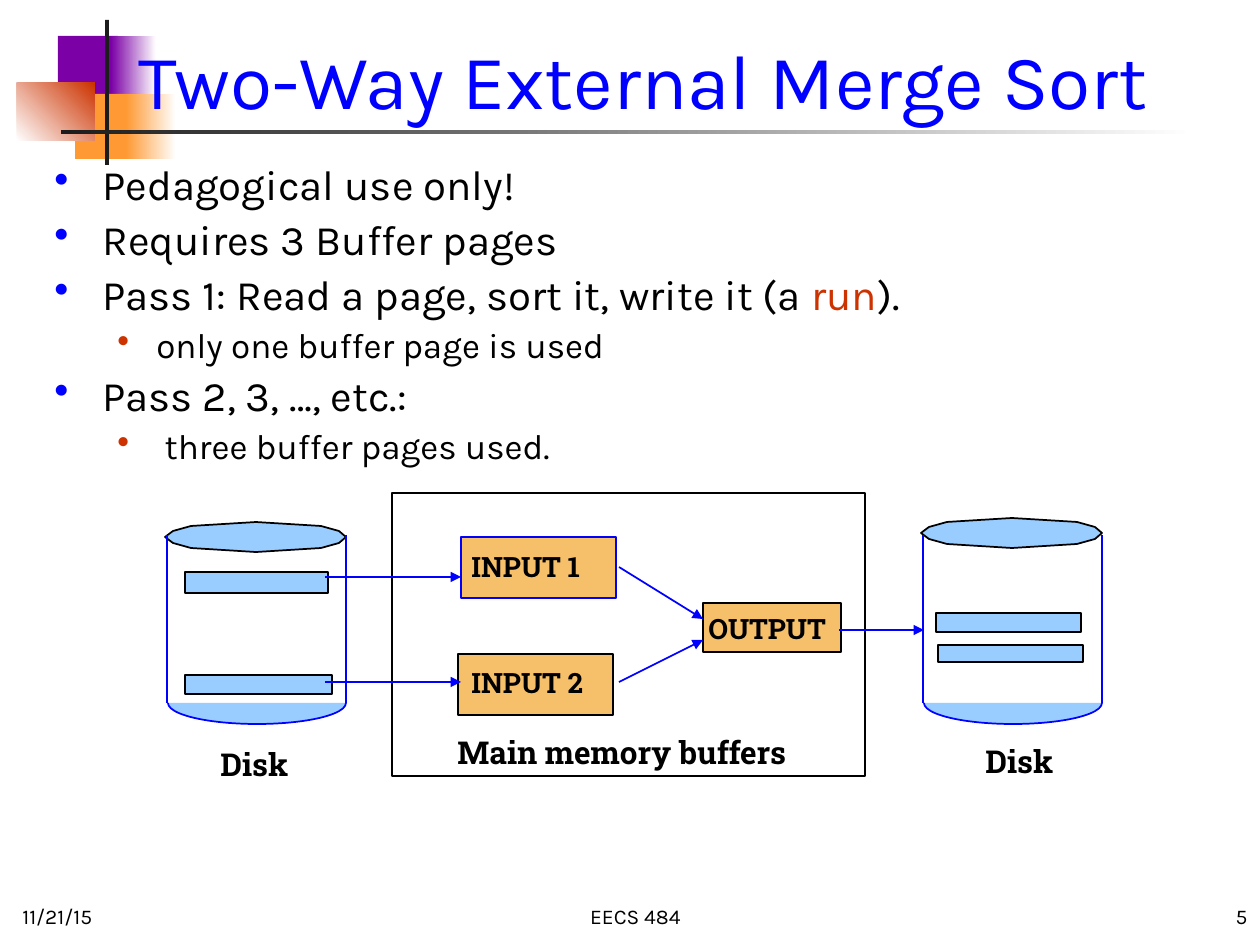
from lxml.etree import SubElement
from pptx import Presentation
from pptx.dml.color import RGBColor
from pptx.enum.shapes import MSO_CONNECTOR, MSO_SHAPE
from pptx.enum.text import MSO_ANCHOR, PP_ALIGN
from pptx.oxml.ns import qn
from pptx.util import Emu, Pt

EMU_PER_PX = 914400 / 126
COLORS = {
    "white": "FFFFFF", "black": "000000", "charcoal": "1C1C1C",
    "blue": "0000FF", "sky": "99CCFF", "red": "CC3300",
    "purple": "7B00A6", "orange": "FF9933", "sand": "F6BF69",
}
BULLETS = [
    (0, [("Pedagogical use only!", "black")]),
    (0, [("Requires 3 Buffer pages", "black")]),
    (0, [("Pass 1: Read a page, sort it, write it (a ", "black"),
         ("run", "red"), (").", "black")]),
    (1, [("only one buffer page is used", "black")]),
    (0, [("Pass 2, 3, …, etc.:", "black")]),
    (1, [(" three buffer pages used.", "black")]),
]
LEVELS = [
    {"size": 24, "left": 48, "hang": 48, "gap": 5.6, "bullet": "blue"},
    {"size": 20, "left": 102, "hang": 39, "gap": 4.7, "bullet": "red"},
]


def px(length):
    return Emu(round(length * EMU_PER_PX))


def rgb(name):
    return RGBColor.from_string(COLORS[name])


def paint(shape, fill=None, line=None):
    shape.shadow.inherit = False
    if fill:
        shape.fill.solid()
        shape.fill.fore_color.rgb = rgb(fill)
    else:
        shape.fill.background()
    if line:
        shape.line.color.rgb = rgb(line)
        shape.line.width = Pt(1)
    else:
        shape.line.fill.background()


def add_block(page, bounds, fill=None, line=None, kind=MSO_SHAPE.RECTANGLE):
    block = page.shapes.add_shape(kind, *map(px, bounds))
    paint(block, fill, line)
    return block


def add_gradient(page, bounds, start, end, angle=0):
    block = add_block(page, bounds)
    block.fill.gradient()
    block.fill.gradient_angle = angle
    for stop, name in zip(block.fill.gradient_stops, (start, end)):
        stop.color.rgb = rgb(name)


def add_line(page, start, end, arrow=False):
    line = page.shapes.add_connector(
        MSO_CONNECTOR.STRAIGHT, *map(px, start + end))
    line.line.color.rgb = rgb("blue")
    line.line.width = Pt(1)
    if arrow:
        SubElement(line.line._get_or_add_ln(), qn("a:tailEnd"), type="triangle")
    SubElement(line._element.spPr, qn("a:effectLst"))


def format_span(span, font, size, color, bold=False):
    span.font.name = font
    span.font.size = Pt(size)
    span.font.bold = bold
    span.font.color.rgb = rgb(color)


def add_text(page, bounds, text, size, font="Karla", color="black", bold=False,
             align=PP_ALIGN.LEFT, anchor=MSO_ANCHOR.TOP, wrap=True):
    box = page.shapes.add_textbox(*map(px, bounds))
    frame = box.text_frame
    frame.word_wrap = wrap
    frame.vertical_anchor = anchor
    frame.text = text
    paragraph = frame.paragraphs[0]
    paragraph.alignment = align
    format_span(paragraph.runs[0], font, size, color, bold)


def add_label(page, bounds, text, size):
    add_text(page, bounds, text, size, "Roboto Slab", bold=True, wrap=False)


def add_bullets(page, bounds):
    frame = page.shapes.add_textbox(*map(px, bounds)).text_frame
    frame.word_wrap = True
    for index, (level, spans) in enumerate(BULLETS):
        style = LEVELS[level]
        paragraph = frame.add_paragraph() if index else frame.paragraphs[0]
        paragraph.level = level
        paragraph.line_spacing = 0.9
        paragraph.space_before = Pt(style["gap"])
        properties = paragraph._p.get_or_add_pPr()
        properties.set("marL", str(px(style["left"])))
        properties.set("indent", str(-px(style["hang"])))
        bullet_color = SubElement(properties, qn("a:buClr"))
        SubElement(bullet_color, qn("a:srgbClr"), val=COLORS[style["bullet"]])
        SubElement(properties, qn("a:buChar"), char="•")
        for text, color in spans:
            span = paragraph.add_run()
            span.text = text
            format_span(span, "Karla", style["size"], color)


def add_disk(page, left, lid_top):
    upper = [(0, 15), (8, 9), (26, 4), (91, 0), (156, 4), (174, 9), (181, 15)]
    lower = [(x, 30 - y) for x, y in upper[-2:0:-1]]
    outline = [(px(left + x), px(lid_top + y)) for x, y in upper + lower]
    builder = page.shapes.build_freeform(*outline[0])
    builder.add_line_segments(outline[1:], close=True)
    paint(builder.convert_to_shape(), "sky", "black")
    base = add_block(page, (left + 3, 682, 178, 42), "sky", "blue", MSO_SHAPE.ARC)
    base.adjustments[0] = 0
    base.adjustments[1] = 108
    for x in (left + 2, left + 181):
        add_line(page, (x, 535), (x, 703))


def add_decoration(page):
    add_block(page, (58, 36, 60, 65), "purple")
    add_gradient(page, (111, 36, 45, 65), "purple", "white")
    add_block(page, (75, 94, 58, 65), "orange")
    add_gradient(page, (126, 94, 50, 65), "orange", "white")
    add_gradient(page, (17, 83, 78, 58), "white", "red", 45)
    add_block(page, (105, 20, 4, 145), "charcoal")
    add_gradient(page, (61, 130, 1134, 4), "charcoal", "white")


def add_footer(page):
    for left, width, text, align in [
        (10, 262, "11/21/15", PP_ALIGN.LEFT),
        (294, 683, "EECS 484", PP_ALIGN.CENTER),
        (998, 262, "5", PP_ALIGN.RIGHT),
    ]:
        add_text(page, (left, 872, width, 63), text, 12,
                 align=align, anchor=MSO_ANCHOR.BOTTOM)


def add_diagram(page):
    add_disk(page, 165, 522)
    add_disk(page, 921, 518)
    for record in [(185, 572, 143, 21), (185, 675, 147, 19),
                   (936, 613, 145, 19), (938, 645, 145, 17)]:
        add_block(page, record, "sky", "black")

    add_block(page, (392, 493, 473, 283), line="black")
    for buffer, line in [((461, 537, 155, 61), "blue"),
                         ((458, 654, 155, 61), "black"),
                         ((703, 603, 138, 49), "black")]:
        add_block(page, buffer, "sand", line)

    for bounds, text, size in [
        ((445, 727, 396, 50), "Main memory buffers", 18),
        ((459, 543, 144, 45), "INPUT 1", 16),
        ((459, 659, 144, 45), "INPUT 2", 16),
        ((696, 605, 146, 45), "OUTPUT", 16),
        ((973, 736, 98, 50), "Disk", 18),
        ((208, 739, 98, 50), "Disk", 18),
    ]:
        add_label(page, bounds, text, size)

    for start, end in [((325, 577), (461, 577)), ((325, 682), (461, 682)),
                       ((619, 567), (703, 619)), ((619, 682), (703, 640)),
                       ((839, 630), (924, 630))]:
        add_line(page, start, end, arrow=True)


def main():
    deck = Presentation()
    deck.slide_width, deck.slide_height = px(1260), px(945)
    page = deck.slides.add_slide(deck.slide_layouts[6])
    add_decoration(page)
    add_footer(page)
    add_text(page, (126, 0, 1113, 158), "Two-Way External Merge Sort", 44,
             color="blue", anchor=MSO_ANCHOR.MIDDLE)
    add_bullets(page, (42, 158, 1207, 325))
    add_diagram(page)
    deck.save("out.pptx")


if __name__ == "__main__":
    main()
